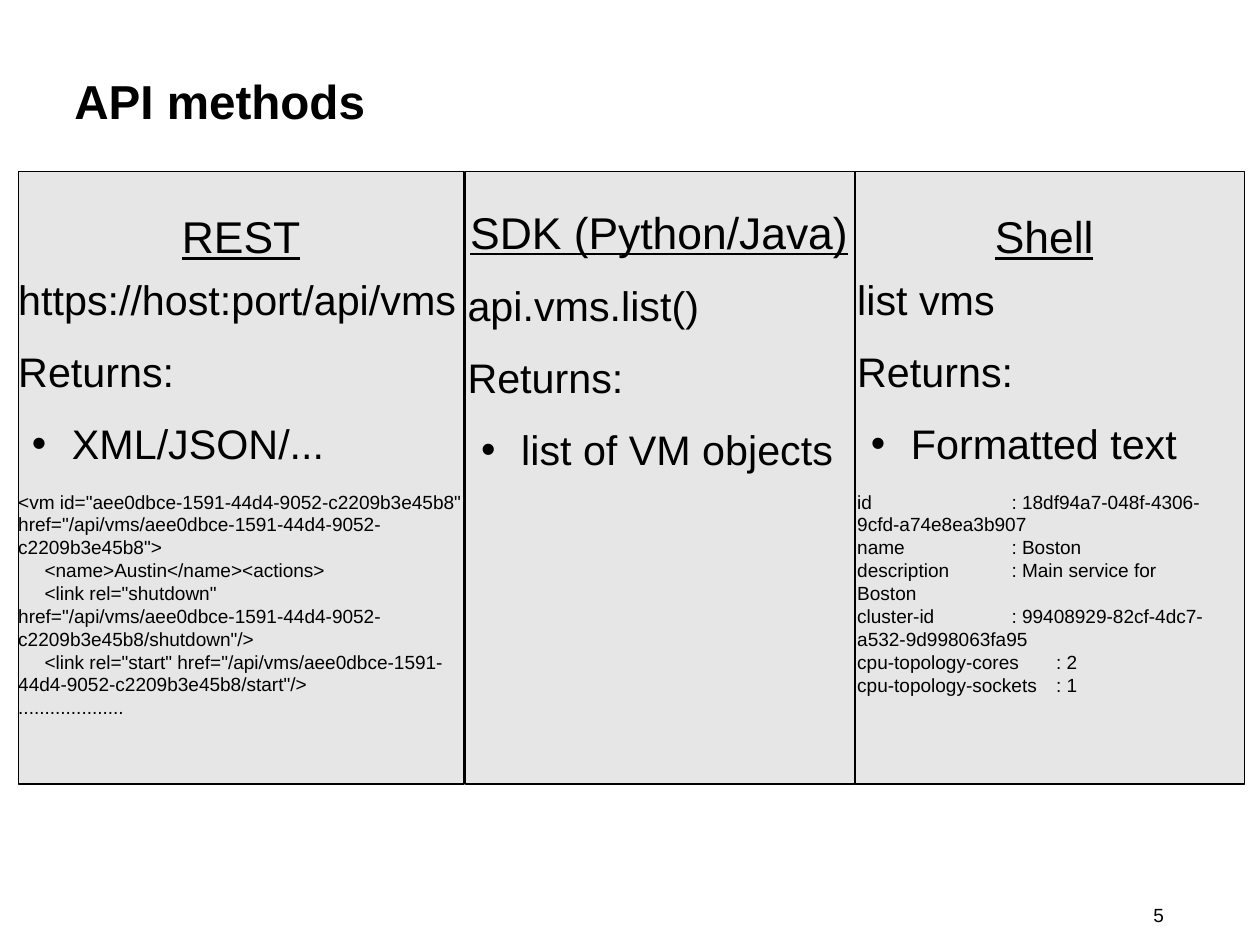
from lxml import etree
from pptx import Presentation
from pptx import util as u
from pptx.dml.color import RGBColor
from pptx.enum import shapes, text
from pptx.oxml.ns import qn

THEME = {
    "font": "Arial",
    "ink": RGBColor(0, 0, 0),
    "panel": RGBColor(0xE6, 0xE6, 0xE6),
    "title": 30, "head": 28, "body": 26, "code": 12,
}
GAP = 14.2
CM = 2.54

deck = Presentation()
deck.slide_width = u.Inches(28 / CM)
deck.slide_height = u.Inches(21 / CM)
slide = deck.slides.add_slide(deck.slide_layouts[6])


def add_box(left, top, width, height, anchor=text.MSO_ANCHOR.TOP):
    box = slide.shapes.add_textbox(*map(u.Inches, (left, top, width, height)))
    frame = box.text_frame
    sets = {"word_wrap": True, "vertical_anchor": anchor, "margin_left": 0,
            "margin_top": 0, "margin_right": 0, "margin_bottom": 0}
    for name, value in sets.items():
        setattr(frame, name, value)
    return frame


def add_para(frame, words, size, after=0, align=text.PP_ALIGN.LEFT,
             indent=0, bullet=False, tabs=(), **style):
    """Add a paragraph; indent and tabs are in inches, after in points."""
    first = frame.paragraphs[0]
    para = frame.add_paragraph() if first.runs else first
    para.text = words
    para.alignment, para.space_after = align, u.Pt(after)
    sets = {"name": THEME["font"], "size": u.Pt(THEME[size]), **style}
    for run in para.runs:
        run.font.color.rgb = THEME["ink"]
        for name, value in sets.items():
            setattr(run.font, name, value)
    for stop in para._p.findall(qn("a:br")):
        etree.SubElement(stop, qn("a:rPr"), sz=str(THEME[size] * 100))
    props = para._p.get_or_add_pPr()
    if indent:
        props.set("indent", str(u.Inches(indent)))
    if bullet:
        props.set("marL", str(u.Inches(0.47)))
        props.set("indent", str(u.Inches(-0.35)))
        etree.SubElement(props, qn("a:buFont"), typeface=THEME["font"])
        etree.SubElement(props, qn("a:buChar"), char="•")
    if tabs:
        stops = etree.SubElement(props, qn("a:tabLst"))
        for tab in tabs:
            etree.SubElement(stops, qn("a:tab"), pos=str(u.Inches(tab)), algn="l")


# Title and slide number
add_para(add_box(10.09, 7.9, 0.91, 0.25), "5", "code")
add_para(add_box(0.65, 0.25, 9.82, 1.25, text.MSO_ANCHOR.MIDDLE),
         "API methods", "title", bold=True)

# Sample output
xml = "\n".join([
    '<vm id="aee0dbce-1591-44d4-9052-c2209b3e45b8" '
    'href="/api/vms/aee0dbce-1591-44d4-9052-c2209b3e45b8">',
    "\t<name>Austin</name><actions>",
    '\t<link rel="shutdown" '
    'href="/api/vms/aee0dbce-1591-44d4-9052-c2209b3e45b8/shutdown"/>',
    '\t<link rel="start" '
    'href="/api/vms/aee0dbce-1591-44d4-9052-c2209b3e45b8/start"/>',
    "....................",
])
listing = "\n".join([
    "id\t: 18df94a7-048f-4306-9cfd-a74e8ea3b907",
    "name\t: Boston",
    "description\t: Main service for Boston",
    "cluster-id\t: 99408929-82cf-4dc7-a532-9d998063fa95",
    "cpu-topology-cores\t: 2",
    "cpu-topology-sockets\t: 1",
])

# Panel left and width, text box, heading with its gap and indent, call, result,
# sample and its tab stops
panels = [
    (0.16, 3.9, (0.16, 1.83, 3.9, 5.37), "REST", 7.2, 0,
     "https://host:port/api/vms", "XML/JSON/...", xml, [0.23]),
    (7.48, 3.41, (7.5, 1.83, 3.17, 5.02), "Shell", 7.2, 0.1,
     "list vms", "Formatted text", listing, [1.35, 1.74]),
    (4.07, 3.41, (4.09, 1.79, 3.35, 4.1), "SDK (Python/Java)", GAP, 0,
     "api.vms.list()", "list of VM objects", "", []),
]
for left, width, area, head, after, shift, call, result, sample, tabs in panels:
    panel = slide.shapes.add_shape(
        shapes.MSO_SHAPE.RECTANGLE, *map(u.Inches, (left, 1.5, width, 5.36)))
    panel.shadow.inherit = False
    panel.fill.solid()
    panel.fill.fore_color.rgb = THEME["panel"]
    panel.line.color.rgb = THEME["ink"]
    panel.line.width = u.Inches(0)

    frame = add_box(*area)
    add_para(frame, head, "head", after, text.PP_ALIGN.CENTER, shift, underline=True)
    add_para(frame, call, "body", GAP)
    add_para(frame, "Returns:", "body", GAP)
    add_para(frame, result, "body", GAP, bullet=True)
    if sample:
        add_para(frame, sample, "code", GAP, tabs=tabs)

deck.save("out.pptx")
